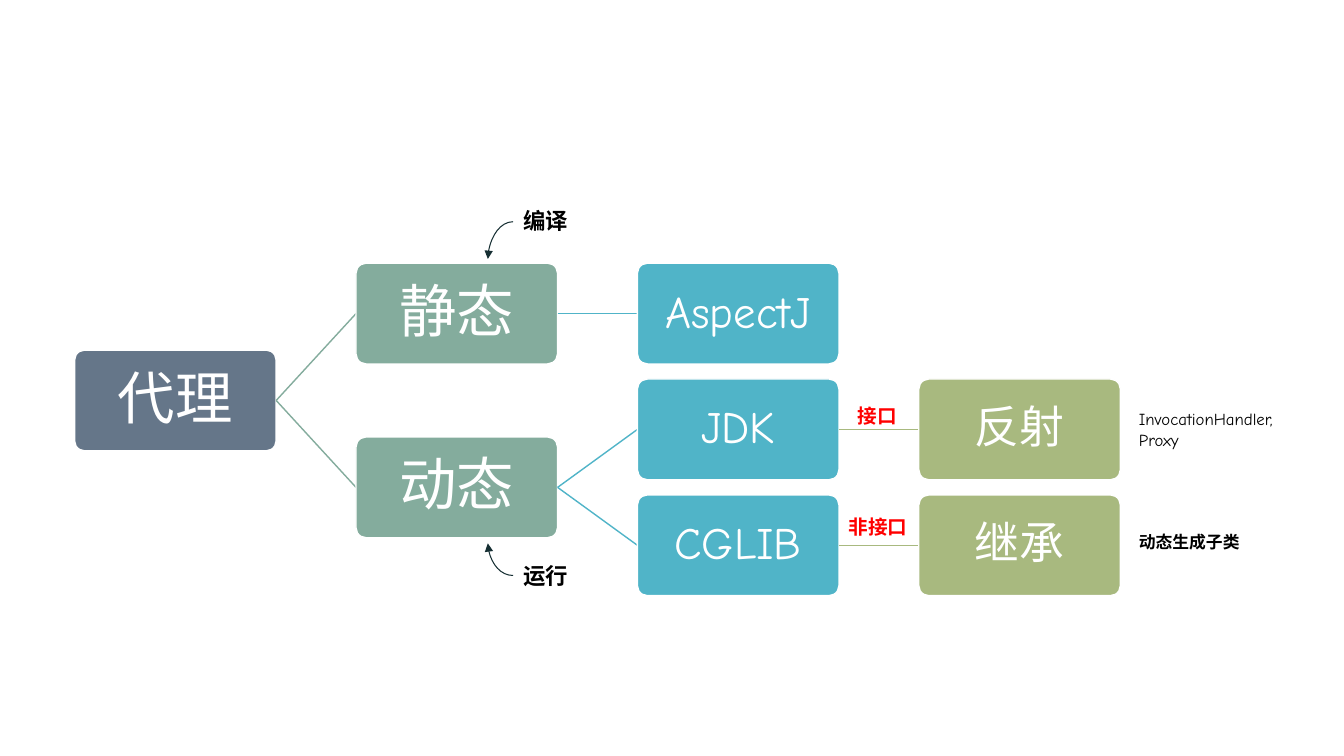
import dataclasses

import lxml.etree
import pptx
import pptx.dml.color
import pptx.enum.shapes
import pptx.enum.text
import pptx.oxml.ns
import pptx.util

Pt = pptx.util.Pt
qn = pptx.oxml.ns.qn

BOX_W, BOX_H = 144, 72
LEFT, TOP = 53.3, 188
COL_STEP, ROW_STEP = 201, 82.75
COLORS = ["657689", "84AC9D", "50B4C8", "A8B97F"]
NODE_SIZES = [41, 41, 32, 32]
CJK_FONT = "Noto Sans CJK SC"
LATIN_FONT = "Comic Neue"


@dataclasses.dataclass
class Node:
    text: str
    row: float
    children: list["Node"] = dataclasses.field(default_factory=list)


@dataclasses.dataclass
class Label:
    text: str
    x: float
    y: float
    w: float
    h: float
    size: float
    color: str = "000000"


@dataclasses.dataclass
class Arrow:
    x1: float
    y1: float
    x2: float
    y2: float


TREE = Node("代理", 0.75, [
    Node("静态", 0, [Node("AspectJ", 0)]),
    Node("动态", 1.5, [
        Node("JDK", 1, [Node("反射", 1)]),
        Node("CGLIB", 2, [Node("继承", 2)]),
    ]),
])

LABELS = [
    Label("InvocationHandler, Proxy", 806.4, 288.7, 133.2, 36, 12),
    Label("动态生成子类", 806.4, 376.6, 133.2, 21.6, 12),
    Label("接口", 605.5, 285.1, 46.1, 24.5, 14, "FF0000"),
    Label("非接口", 599, 364.3, 61.2, 24.5, 14, "FF0000"),
    Label("编译", 366.5, 144.7, 133.2, 26.6, 16),
    Label("运行", 366.5, 398.2, 133.2, 26.6, 16),
]

ARROWS = [Arrow(366.5, 158.4, 348.5, 185), Arrow(366.5, 411.1, 348.5, 388.1)]


def rgb(color: str) -> pptx.dml.color.RGBColor:
    return pptx.dml.color.RGBColor.from_string(color)


def write(tf, text: str, margins: tuple[float, float], fmt: dict, color: str) -> None:
    x, y = margins
    tf.word_wrap = True
    frame = {"margin_left": x, "margin_right": x, "margin_top": y, "margin_bottom": y}
    for name, value in frame.items():
        setattr(tf, name, Pt(value))
    r = tf.paragraphs[0].add_run()
    r.text = text
    for name, value in fmt.items():
        setattr(r.font, name, value)
    r.font.color.rgb = rgb(color)
    if fmt["name"] == CJK_FONT:
        ea = lxml.etree.SubElement(r.font._element, qn("a:ea"))
        ea.set("typeface", CJK_FONT)


def add_line(s, kind, ends: Arrow, color: str, width: float):
    c = s.shapes.add_connector(kind, Pt(ends.x1), Pt(ends.y1), Pt(ends.x2), Pt(ends.y2))
    c.line.color.rgb = rgb(color)
    c.line.width = Pt(width)
    lxml.etree.SubElement(c._element.spPr, qn("a:effectLst"))
    return c


def add_node(s, node: Node, col: int = 0) -> None:
    x, y = LEFT + col * COL_STEP, TOP + node.row * ROW_STEP
    sp = s.shapes.add_shape(pptx.enum.shapes.MSO_SHAPE.ROUNDED_RECTANGLE,
                            Pt(x), Pt(y), Pt(BOX_W), Pt(BOX_H))
    sp.adjustments[0] = 0.1
    sp.shadow.inherit = False
    sp.fill.solid()
    sp.fill.fore_color.rgb = rgb(COLORS[col])
    sp.line.color.rgb = rgb("FFFFFF")
    sp.line.width = Pt(1)
    tf = sp.text_frame
    tf.vertical_anchor = pptx.enum.text.MSO_ANCHOR.MIDDLE
    font = LATIN_FONT if node.text.isascii() else "Arial"
    write(tf, node.text, (4, 4), {"name": font, "size": Pt(NODE_SIZES[col])}, "FFFFFF")
    p = tf.paragraphs[0]
    p.alignment = pptx.enum.text.PP_ALIGN.CENTER
    p.line_spacing = 0.9
    for child in node.children:
        mid = BOX_H / 2
        ends = Arrow(x + BOX_W, y + mid, x + COL_STEP, TOP + child.row * ROW_STEP + mid)
        add_line(s, pptx.enum.shapes.MSO_CONNECTOR.STRAIGHT, ends, COLORS[col + 1], 1)
        add_node(s, child, col + 1)


def add_label(s, label: Label) -> None:
    sp = s.shapes.add_textbox(Pt(label.x), Pt(label.y), Pt(label.w), Pt(label.h))
    latin = label.text.isascii()
    fmt = {"name": LATIN_FONT if latin else CJK_FONT,
           "size": Pt(label.size), "bold": not latin}
    write(sp.text_frame, label.text, (7.2, 3.6), fmt, label.color)


def add_arrow(s, arrow: Arrow) -> None:
    c = add_line(s, pptx.enum.shapes.MSO_CONNECTOR.CURVE, arrow, "162F33", 0.75)
    c._element.spPr.find(qn("a:prstGeom")).set("prst", "curvedConnector2")
    tail = lxml.etree.SubElement(c._element.spPr.find(qn("a:ln")), qn("a:tailEnd"))
    tail.set("type", "triangle")


def main() -> None:
    prs = pptx.Presentation()
    prs.slide_width, prs.slide_height = Pt(960), Pt(540)
    s = prs.slides.add_slide(prs.slide_layouts[6])
    add_node(s, TREE)
    for label in LABELS:
        add_label(s, label)
    for arrow in ARROWS:
        add_arrow(s, arrow)
    prs.save("out.pptx")


if __name__ == "__main__":
    main()
